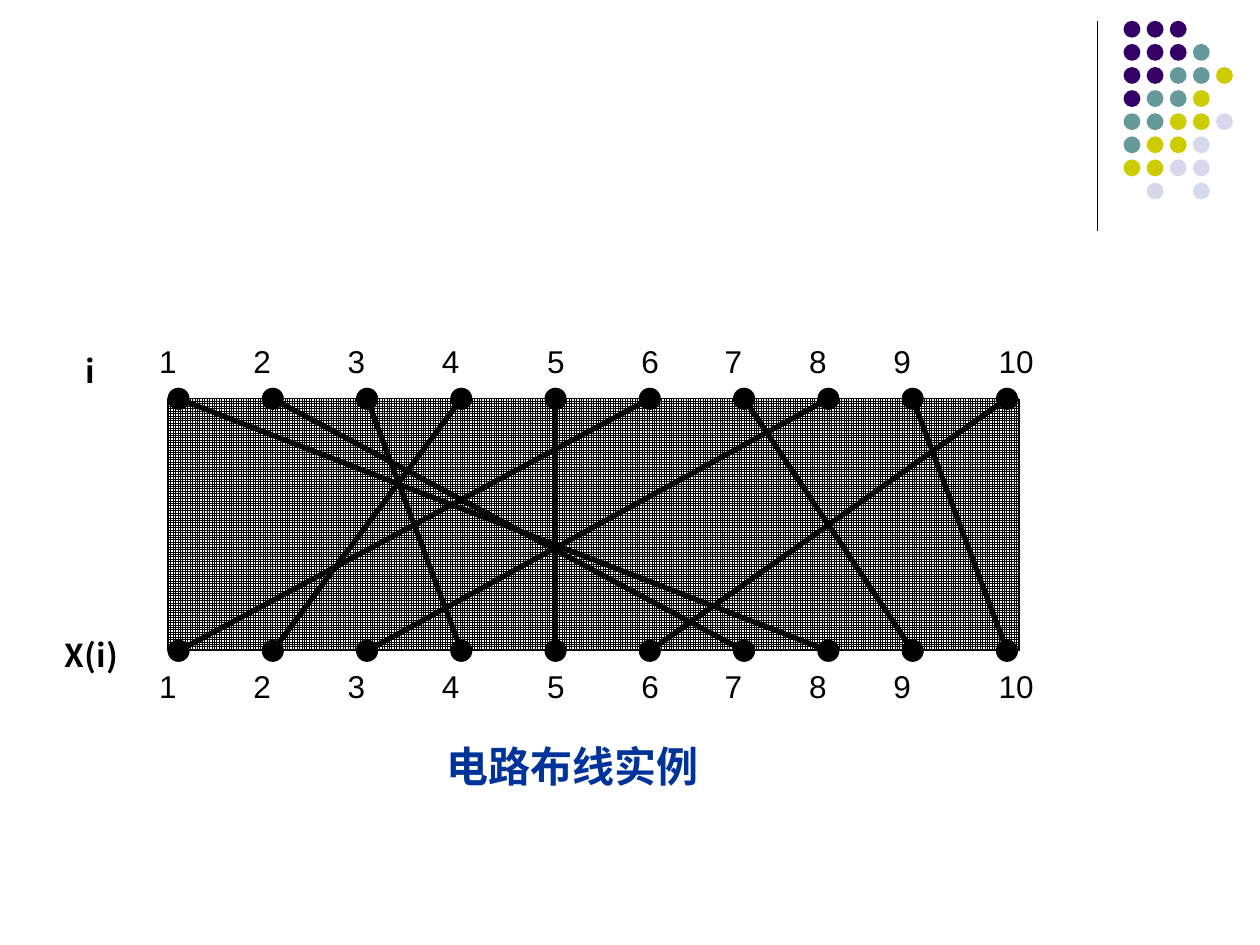
from itertools import accumulate

from lxml.etree import SubElement
from pptx import Presentation
from pptx.dml.color import RGBColor
from pptx.enum.dml import MSO_PATTERN
from pptx.enum.shapes import MSO_CONNECTOR, MSO_SHAPE
from pptx.enum.text import MSO_AUTO_SIZE, PP_ALIGN
from pptx.oxml.ns import qn
from pptx.util import Cm, Pt

BLACK, WHITE, BLUE = "000000", "FFFFFF", "003399"
CJK_FONT = "Noto Sans CJK SC"

# Corner ornament: one letter per dot, a space leaves a gap
DOT_COLOURS = {"p": "330066", "t": "669999", "y": "CCCC00", "l": "D8D8EC"}
DOT_ROWS = ["ppp", "pppt", "pptty", "ptty", "ttyyl", "tyyl", "yyll", " l l"]

# Circuit: wire i runs from top port i to bottom port WIRES[i - 1]
WIRES = [8, 7, 4, 2, 5, 1, 9, 3, 10, 6]
PORT_GAPS = [1.9] * 6 + [1.7] * 2 + [1.9]
PORT_SIZE = 0.42
NUDGED_LABELS = {5, 6, 10}

NUMBER_FORMAT = {"name": "Arial", "size": Pt(18), "bold": False}
AXIS_FORMAT = {"name": CJK_FONT, "size": Pt(18), "bold": True}
CAPTION_FORMAT = {"name": "Arial", "size": Pt(24), "bold": True}


def paint(colour_format, colour):
    colour_format.rgb = RGBColor.from_string(colour)


def add_figure(page, kind, box, colour, outlined=False):
    figure = page.shapes.add_shape(kind, *map(Cm, box))
    figure.shadow.inherit = False
    figure.fill.solid()
    paint(figure.fill.fore_color, colour)
    if outlined:
        figure.line.width = Pt(0.75)
        paint(figure.line.color, BLACK)
    else:
        figure.line.fill.background()
    return figure


def add_line(page, start, end, width):
    line = page.shapes.add_connector(MSO_CONNECTOR.STRAIGHT, *map(Cm, start + end))
    line.line.width = Pt(width)
    paint(line.line.color, BLACK)
    SubElement(line._element.spPr, qn("a:effectLst"))


def add_label(page, box, text, text_format, colour=BLACK, align=PP_ALIGN.LEFT):
    frame = page.shapes.add_textbox(*map(Cm, box)).text_frame
    frame.word_wrap = True
    frame.auto_size = MSO_AUTO_SIZE.SHAPE_TO_FIT_TEXT
    para = frame.paragraphs[0]
    para.alignment = align
    span = para.add_run()
    span.text = text
    for name, value in text_format.items():
        setattr(span.font, name, value)
    paint(span.font.color, colour)
    SubElement(span.font._element, qn("a:ea"), typeface=CJK_FONT)


def add_ornament(page, left, top, height):
    """Vertical rule with a grid of coloured dots to its right."""
    add_line(page, (left, top), (left, top + height), 0.75)
    size, pitch, first = 0.34, 0.466, left + 0.53
    for row, letters in enumerate(DOT_ROWS):
        for column, letter in enumerate(letters):
            if letter != " ":
                box = (first + column * pitch, top + row * pitch, size, size)
                add_figure(page, MSO_SHAPE.OVAL, box, DOT_COLOURS[letter])


def add_circuit(page, left, top, width, height):
    """Board with numbered ports on both long edges and the wires between."""
    bottom = top + height
    board = add_figure(page, MSO_SHAPE.RECTANGLE, (left, top, width, height),
                       WHITE, outlined=True)
    board.fill.patterned()
    board.fill.pattern = MSO_PATTERN.SMALL_GRID
    paint(board.fill.fore_color, BLACK)
    paint(board.fill.back_color, WHITE)

    # Ports and their numbers
    ports = list(accumulate(PORT_GAPS, initial=left + PORT_SIZE / 2))
    radius = PORT_SIZE / 2
    for edge, label_top in ((top, top - 1.27), (bottom, bottom + 0.21)):
        for number, centre in enumerate(ports, 1):
            box = (centre - radius, edge - radius, PORT_SIZE, PORT_SIZE)
            add_figure(page, MSO_SHAPE.OVAL, box, BLACK, outlined=True)
            label_left = centre - (0.42 if number in NUDGED_LABELS else 0.64)
            label_width = 1.48 if number > 9 else 1.06
            add_label(page, (label_left, label_top, label_width, 1.02),
                      str(number), NUMBER_FORMAT)

    # Wires
    for centre, target in zip(ports, WIRES):
        add_line(page, (centre, top), (ports[target - 1], bottom), 3)

    # Names of the two rows, and the caption
    add_label(page, (left - 1.91, top - 1.06, 1.27, 1.02), "i", AXIS_FORMAT)
    add_label(page, (left - 2.33, bottom - 0.42, 1.91, 1.02), "X(i)", AXIS_FORMAT)
    add_label(page, (left + 2.33, bottom + 1.69, 11.64, 1.27), "电路布线实例",
              CAPTION_FORMAT, BLUE, PP_ALIGN.CENTER)


def main():
    deck = Presentation()
    deck.slide_width, deck.slide_height = Cm(25.4), Cm(19.05)
    page = deck.slides.add_slide(deck.slide_layouts[6])
    add_ornament(page, left=22.12, top=0.42, height=4.23)
    add_circuit(page, left=3.39, top=8.04, width=17.15, height=5.08)
    deck.save("out.pptx")


if __name__ == "__main__":
    main()
